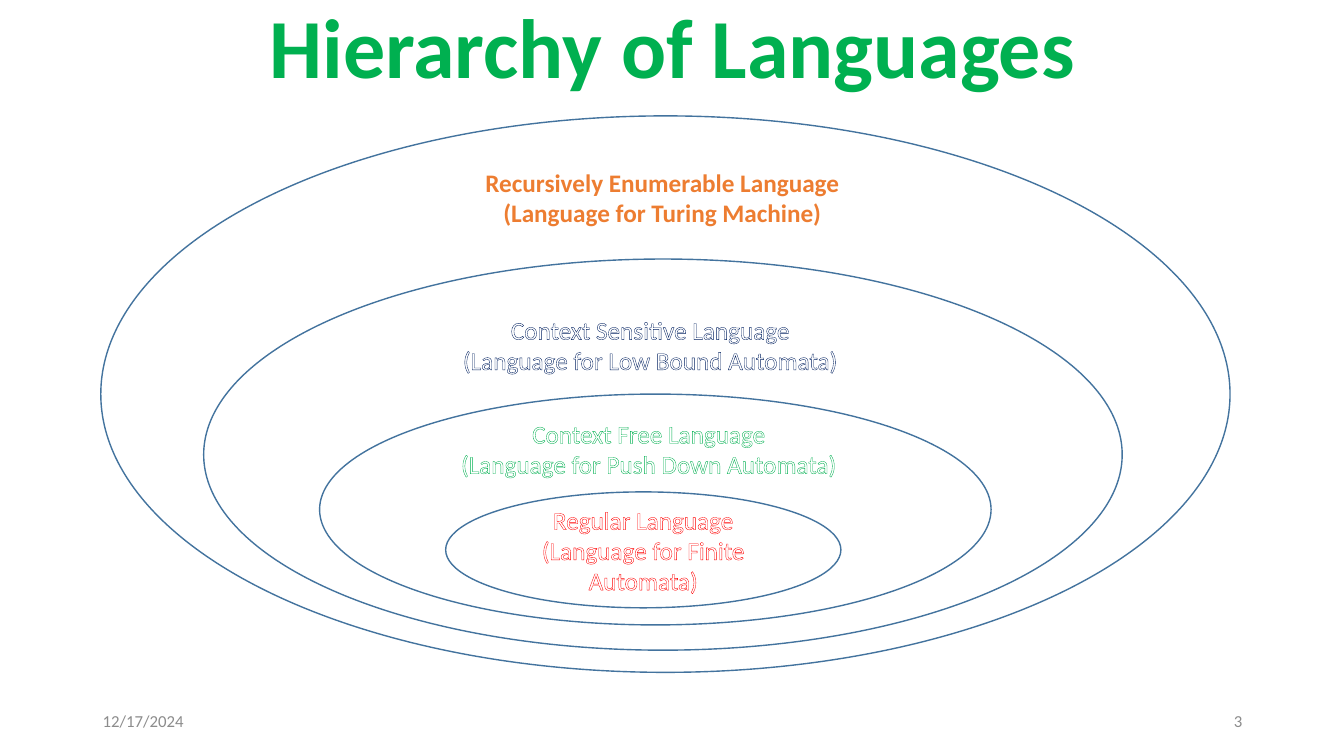
from lxml.etree import SubElement
from pptx import Presentation
from pptx.dml.color import RGBColor as RGB
from pptx.enum.shapes import MSO_SHAPE as Shape
from pptx.enum.text import MSO_ANCHOR as Anchor, PP_ALIGN as Align
from pptx.oxml.ns import qn
from pptx.util import Inches, Pt

COLORS = {
    "title": "00B050", "ring": "43739E", "white": "FFFFFF", "foot": "8C8C8C",
    "red": "FF0000", "green": "00B050", "navy": "002060", "orange": "ED7D31",
}

RINGS = [
    ((4.42, 4.88, 3.92, 1.15), None, "red",
     "Regular Language\n(Language for Finite Automata)"),
    ((3.17, 3.91, 6.66, 2.29), (4.45, 4.1, 3.97, 0.71), "green",
     "Context Free Language\n(Language for Push Down Automata)"),
    ((2.02, 2.57, 9.11, 3.88), (4.47, 3.07, 3.96, 0.71), "navy",
     "Context Sensitive Language\n(Language for Low Bound Automata)"),
    ((1, 1.15, 11.2, 5.52), (4.7, 1.61, 3.74, 0.71), "orange",
     "Recursively Enumerable Language\n(Language for Turing Machine)"),
]


def color(name):
    return RGB.from_string(COLORS[name])


def outline(run, name):
    props = run.font._element
    line = SubElement(props, qn("a:ln"), w=str(Pt(0.75)))
    fill = SubElement(line, qn("a:solidFill"))
    SubElement(fill, qn("a:srgbClr"), val=COLORS[name])
    props.insert(0, line)


def write(shape, text, size, tint, bold=False, align=Align.CENTER,
          anchor=Anchor.MIDDLE, wrap=True, edge=None):
    frame = shape.text_frame
    frame.text = text
    frame.word_wrap = wrap
    frame.vertical_anchor = anchor
    for para in frame.paragraphs:
        para.alignment = align
        for run in para.runs:
            font = run.font
            font.name, font.size, font.bold = "Calibri", Pt(size), bold
            font.color.rgb = color(tint)
            if edge:
                outline(run, edge)


def add_box(slide, box):
    return slide.shapes.add_textbox(*map(Inches, box))


def add_title(slide, box):
    title = add_box(slide, box)
    write(title, "Hierarchy of Languages", 60, "title", True,
          anchor=Anchor.BOTTOM)
    title.text_frame.paragraphs[0].line_spacing = 0.9


def add_ring(slide, box, label, tint, text):
    ring = slide.shapes.add_shape(Shape.OVAL, *map(Inches, box))
    ring.shadow.inherit = False
    ring.fill.background()
    ring.line.color.rgb = color("ring")
    ring.line.width = Pt(1)
    solid = tint == "orange"
    style = dict(tint=tint if solid else "white", bold=solid,
                 edge=None if solid else tint)
    if label:
        write(add_box(slide, label), text, 18, anchor=Anchor.TOP,
              wrap=False, **style)
    else:
        write(ring, text, 18, **style)


def add_foot(slide, box):
    left, top, width, height = box
    cell = 3
    write(add_box(slide, (left, top, cell, height)), "12/17/2024", 12,
          "foot", align=Align.LEFT)
    write(add_box(slide, (left + width - cell, top, cell, height)), "3", 12,
          "foot", align=Align.RIGHT)


def main():
    deck = Presentation()
    deck.slide_width, deck.slide_height = Inches(13.33), Inches(7.5)
    slide = deck.slides.add_slide(deck.slide_layouts[6])
    add_title(slide, (1.67, 0, 10, 1.01))
    for ring in RINGS:
        add_ring(slide, *ring)
    add_foot(slide, (0.92, 6.95, 11.5, 0.4))
    deck.save("out.pptx")


if __name__ == "__main__":
    main()
